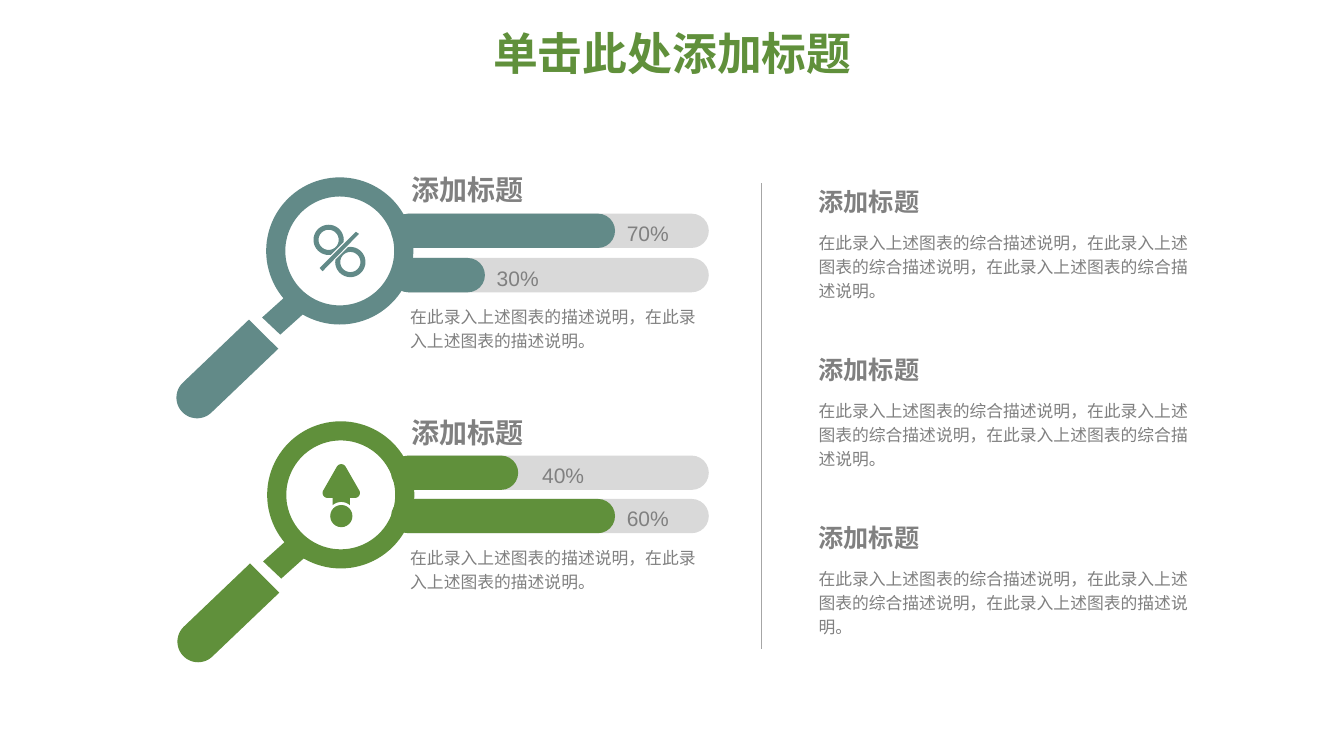
from math import cos, radians, sin

from lxml.etree import SubElement
from pptx import Presentation
from pptx.dml.color import RGBColor
from pptx.enum.shapes import MSO_CONNECTOR, MSO_SHAPE
from pptx.enum.text import MSO_ANCHOR, MSO_AUTO_SIZE, PP_ALIGN
from pptx.oxml.ns import qn
from pptx.util import Inches, Pt

COLORS = {"teal": "628A88", "green": "60903B", "track": "D9D9D9",
          "text": "808080", "divider": "A6A6A6"}
FONT = "Arial"
COLUMNS, ROWS = 133.3, 75
CELL = Inches(0.1)

HEADING = "添加标题"
CHART_NOTE = "在此录入上述图表的描述说明，在此录入上述图表的描述说明。"
SUMMARY = "在此录入上述图表的综合描述说明，"
SUMMARIES = [SUMMARY * 2 + ending for ending in (
    "在此录入上述图表的综合描述说明。",
    "在此录入上述图表的综合描述说明。",
    "在此录入上述图表的描述说明。")]

# Each bar: row, length in columns, label, label width in columns.
PANELS = [
    {"color": "teal", "icon": "percent", "lens": (26.4, 17.6), "heading_row": 16.6,
     "note_row": 29.5, "bars": [(21.2, 22.2, "70%", 7.1), (25.6, 9.3, "30%", 7.1)]},
    {"color": "green", "icon": "arrow", "lens": (26.5, 41.8), "heading_row": 40.7,
     "note_row": 53.4, "bars": [(45.2, 12.6, "40%", 9.5), (49.5, 22.2, "60%", 7.1)]},
]


def cells(count):
    return round(count * CELL)


def arc(column, row, radius, start, end, steps=32):
    """Points on a circle between two angles, clockwise from the right."""
    angles = [radians(start + (end - start) * step / steps) for step in range(steps + 1)]
    return [(column + radius * cos(angle), row + radius * sin(angle)) for angle in angles]


class SlideBuilder:
    """Draws styled elements on one slide, measured in grid columns and rows."""

    def __init__(self, slide):
        self.shapes = slide.shapes

    def paint(self, shape, color):
        shape.shadow.inherit = False
        shape.fill.solid()
        shape.fill.fore_color.rgb = RGBColor.from_string(COLORS[color])
        shape.line.fill.background()

    def preset(self, kind, column, row, width, height, color, adjustment=None):
        shape = self.shapes.add_shape(kind, *map(cells, (column, row, width, height)))
        if adjustment is not None:
            shape.adjustments[0] = adjustment
        self.paint(shape, color)

    def outline(self, origin, color, *contours):
        """Fill closed contours; a contour inside another becomes a hole."""
        placed = [[(cells(origin[0] + column), cells(origin[1] + row))
                   for column, row in contour] for contour in contours]
        builder = self.shapes.build_freeform(*placed[0][0], scale=1.0)
        for index, points in enumerate(placed):
            if index:
                builder.move_to(*points[0])
            builder.add_line_segments(points[1:], close=True)
        self.paint(builder.convert_to_shape(), color)

    def text(self, content, column, row, width, height, *, size=12, color="text",
             bold=False, wrap=True, grow=True, align=PP_ALIGN.LEFT,
             anchor=MSO_ANCHOR.TOP, spacing=1.0):
        box = self.shapes.add_textbox(*map(cells, (column, row, width, height)))
        frame = box.text_frame
        frame.word_wrap = wrap
        frame.auto_size = MSO_AUTO_SIZE.SHAPE_TO_FIT_TEXT if grow else MSO_AUTO_SIZE.NONE
        frame.vertical_anchor = anchor
        paragraph = frame.paragraphs[0]
        paragraph.alignment = align
        paragraph.line_spacing = spacing
        run = paragraph.add_run()
        run.text = content
        run.font.name = FONT
        run.font.size = Pt(size)
        run.font.bold = bold
        run.font.color.rgb = RGBColor.from_string(COLORS[color])

    def divider(self, column, top, bottom):
        line = self.shapes.add_connector(
            MSO_CONNECTOR.STRAIGHT, *map(cells, (column, top, column, bottom)))
        line.line.color.rgb = RGBColor.from_string(COLORS["divider"])
        line.line.width = Pt(1)
        SubElement(line._element.spPr, qn("a:effectLst"))

    def bar(self, row, length, label, label_width, color):
        left, height = 38.8, 3.4
        for width, fill in ((31.5, "track"), (length, color)):
            self.preset(MSO_SHAPE.ROUNDED_RECTANGLE, left, row, width, height, fill, 0.5)
        self.text(label, left + length - 0.3, row - 0.3, label_width, 3.8,
                  size=15, align=PP_ALIGN.CENTER, spacing=1.2)

    def magnifier(self, origin, color):
        self.outline(origin, color, [(4.3, 13), (1.4, 15.6), (-0.4, 13.9), (2.6, 11.2)])
        self.preset(MSO_SHAPE.DONUT, *origin, 14.6, 14.6, color, 0.13)
        grip = [(-1.7, 14.1), *arc(-6.85, 21.85, 2.05, 225, 45), (1.2, 17)]
        self.outline(origin, color, grip)

    def percent_icon(self, origin, color):
        for column, row, start in ((6.2, 6.2, 82), (8.35, 8.4, 262)):
            self.outline(origin, color, arc(column, row, 1.5, start, start + 286),
                         arc(column, row, 1, 0, 360))
        self.outline(origin, color, [(9.2, 5.6), (5.6, 9.3), (5.3, 9), (8.9, 5.4)])

    def arrow_icon(self, origin, color):
        head = [*arc(7.35, 4.75, 0.5, 210, 330), *arc(8.7, 7.1, 0.5, -30, 90)]
        stem = [(8.2, 7.6), *arc(7.35, 9.3, 1.3, 311, 229), (6.5, 7.6)]
        self.outline(origin, color, head + stem + arc(6, 7.1, 0.5, 90, 210))
        self.preset(MSO_SHAPE.OVAL, origin[0] + 6.25, origin[1] + 8.3, 2.2, 2.2, color)

    def panel(self, panel):
        color, origin = panel["color"], panel["lens"]
        for bar in panel["bars"]:
            self.bar(*bar, color)
        self.magnifier(origin, color)
        icons = {"percent": self.percent_icon, "arrow": self.arrow_icon}
        icons[panel["icon"]](origin, color)
        self.text(HEADING, 39.8, panel["heading_row"], 13.2, 4.4,
                  size=20, bold=True, wrap=False)
        self.text(CHART_NOTE, 39.7, panel["note_row"], 30.8, 5.9, spacing=1.2)


def main():
    presentation = Presentation()
    presentation.slide_width, presentation.slide_height = cells(COLUMNS), cells(ROWS)
    builder = SlideBuilder(presentation.slides.add_slide(presentation.slide_layouts[6]))

    builder.text("单击此处添加标题", 9.2, 2.6, 115, 6, size=32, color="green", bold=True,
                 grow=False, align=PP_ALIGN.CENTER, anchor=MSO_ANCHOR.MIDDLE, spacing=0.9)
    builder.divider(75.5, 18.2, 64.4)
    for panel in PANELS:
        builder.panel(panel)
    for index, summary in enumerate(SUMMARIES):
        row = 18 + 16.67 * index
        builder.text(HEADING, 80.2, row, 12.1, 4, size=18, bold=True, wrap=False)
        builder.text(summary, 80.2, row + 4.2, 39.6, 8.3, spacing=1.2)

    presentation.save("out.pptx")


if __name__ == "__main__":
    main()
